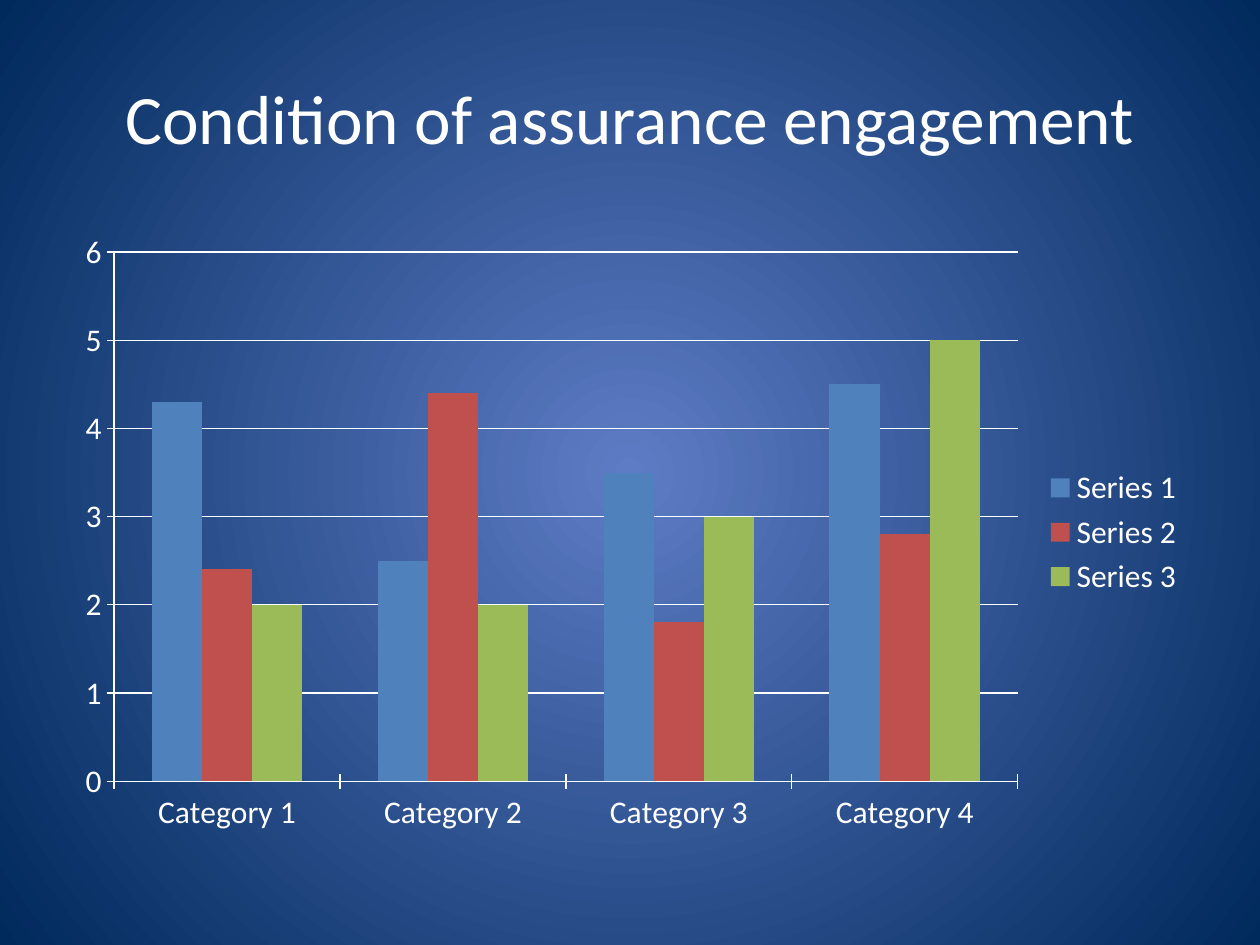
from lxml import etree
from pptx import Presentation
from pptx import util as u
from pptx.chart import data as cd
from pptx.dml.color import RGBColor
from pptx.enum import chart as ch, text
from pptx.oxml import ns

FONT = "Calibri"
HUES = {
    "text": "FFFFFF",
    "glow": "5E7CC5",
    "edge": "00295C",
    "Series 1": "4F81BD",
    "Series 2": "C0504D",
    "Series 3": "9BBB59",
}
CATS = [f"Category {n}" for n in range(1, 5)]
ROWS = {
    "Series 1": (4.3, 2.5, 3.5, 4.5),
    "Series 2": (2.4, 4.4, 1.8, 2.8),
    "Series 3": (2, 2, 3, 5),
}


def hue(name):
    return RGBColor.from_string(HUES[name])


def style(font, size):
    font.name = FONT
    font.size = u.Pt(size)
    font.color.rgb = hue("text")


def box(left, top, width, height):
    return [u.Inches(v) for v in (left, top, width, height)]


def paint_back(slide):
    fill = slide.background.fill
    fill.gradient()
    for stop, name, pos in zip(fill.gradient_stops, ("glow", "edge"), (0, 1)):
        stop.color.rgb = hue(name)
        stop.position = pos
    # Turn the linear gradient into a circle around the centre
    lin = slide.background._cSld.find(".//" + ns.qn("a:lin"))
    grad = lin.getparent()
    grad.remove(lin)
    ring = etree.SubElement(grad, ns.qn("a:path"), path="circle")
    etree.SubElement(ring, ns.qn("a:fillToRect"), dict.fromkeys("ltrb", "50000"))


def add_title(slide, words):
    title = slide.shapes.title
    title.left, title.top, title.width, title.height = box(0.5, 0.3, 9, 1.25)
    frame = title.text_frame
    frame.vertical_anchor = text.MSO_ANCHOR.MIDDLE
    para = frame.paragraphs[0]
    para.alignment = text.PP_ALIGN.CENTER
    run = para.add_run()
    run.text = words
    style(run.font, 39.6)


def style_axis(axis, grid):
    axis.major_tick_mark = ch.XL_TICK_MARK.CROSS
    axis.has_major_gridlines = grid
    lines = [axis.format.line]
    if grid:
        lines.append(axis.major_gridlines.format.line)
    for line in lines:
        line.color.rgb = hue("text")
        line.width = u.Pt(0.75)


def add_bars(slide):
    data = cd.CategoryChartData()
    data.categories = CATS
    for name, vals in ROWS.items():
        data.add_series(name, vals)
    kind = ch.XL_CHART_TYPE.COLUMN_CLUSTERED
    chart = slide.shapes.add_chart(kind, *box(0.5, 1.75, 9, 4.95), data).chart
    style(chart.font, 18)
    chart.has_title = False

    # Axes and legend
    style_axis(chart.category_axis, False)
    style_axis(chart.value_axis, True)
    chart.has_legend = True
    chart.legend.position = ch.XL_LEGEND_POSITION.RIGHT
    chart.legend.include_in_layout = False

    # Columns
    plot = chart.plots[0]
    plot.gap_width = 150
    plot.vary_by_categories = False
    for row in plot.series:
        row.format.fill.solid()
        row.format.fill.fore_color.rgb = hue(row.name)


def main():
    deck = Presentation()
    deck.slide_width, deck.slide_height = u.Inches(10), u.Inches(7.5)
    slide = deck.slides.add_slide(deck.slide_layouts[5])
    paint_back(slide)
    add_title(slide, "Condition of assurance engagement")
    add_bars(slide)
    deck.save("out.pptx")


if __name__ == "__main__":
    main()
